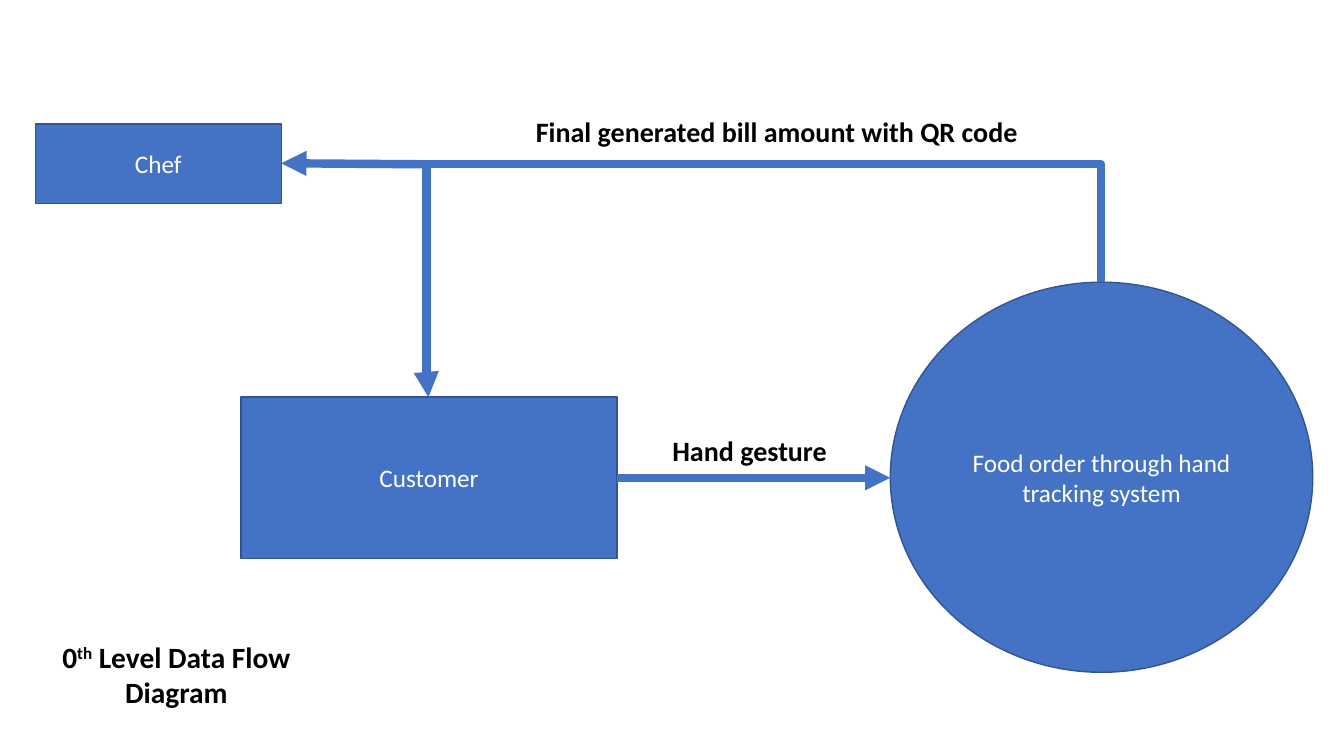
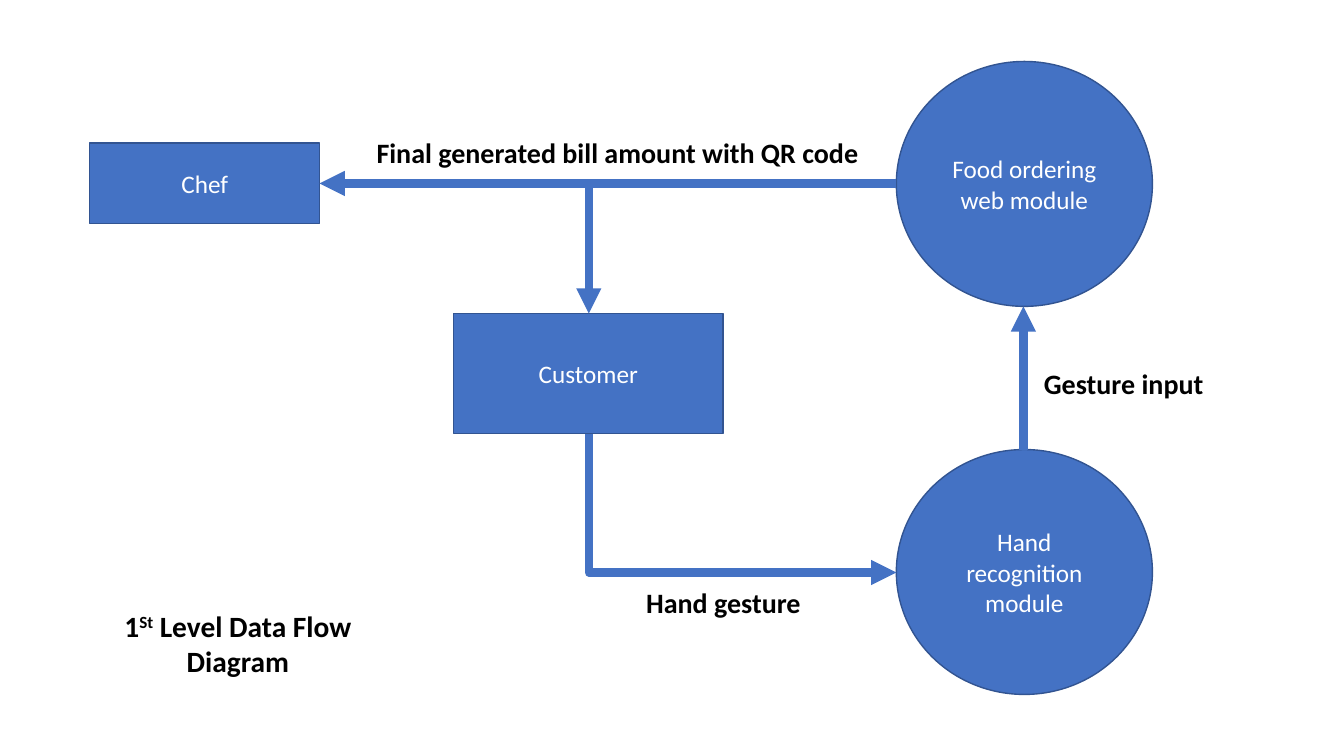
import pptx
import pptx.util
import pptx.dml.color
import pptx.enum.shapes
import pptx.enum.text
import pptx.oxml.ns
from lxml import etree

Inches = pptx.util.Inches
Pt = pptx.util.Pt
qn = pptx.oxml.ns.qn
RGBColor = pptx.dml.color.RGBColor
MSO_SHAPE = pptx.enum.shapes.MSO_SHAPE

COLOURS = {"fill": "4472C4", "outline": "325491", "light": "FFFFFF", "dark": "000000"}
BOX_FONT = {"name": "Calibri", "size": Pt(18), "bold": False}
LABEL_FONT = {"name": "Calibri", "size": Pt(20), "bold": True}
CAPTION_FONT = {"name": "Calibri", "size": Pt(21), "bold": True}


def write_text(shape, text, font_format, colour):
    frame = shape.text_frame
    frame.word_wrap = True
    for number, line in enumerate(text.split("\n")):
        paragraph = frame.add_paragraph() if number else frame.paragraphs[0]
        paragraph.alignment = pptx.enum.text.PP_ALIGN.CENTER
        for position, piece in enumerate(line.split("^")):
            run = paragraph.add_run()
            run.text = piece
            for name, value in font_format.items():
                setattr(run.font, name, value)
            run.font.color.rgb = RGBColor.from_string(COLOURS[colour])
            if position % 2:
                run._r.get_or_add_rPr().set("baseline", "30000")


def add_arrow(slide, start, end, preset="line", turn=0, flips=(), adjustments=()):
    connector = slide.shapes.add_connector(
        pptx.enum.shapes.MSO_CONNECTOR.STRAIGHT, *map(Inches, start + end))
    connector.line.width = Pt(6)
    connector.line.color.rgb = RGBColor.from_string(COLOURS["fill"])
    properties = connector._element.spPr
    line = properties.find(qn("a:ln"))
    etree.SubElement(line, qn("a:tailEnd"), type="triangle")
    etree.SubElement(properties, qn("a:effectLst"))
    if preset == "line":
        return
    geometry = properties.find(qn("a:prstGeom"))
    geometry.set("prst", preset)
    guides = geometry.find(qn("a:avLst"))
    for number, value in enumerate(adjustments, 1):
        etree.SubElement(guides, qn("a:gd"), name=f"adj{number}", fmla=f"val {value}")
    transform = properties.find(qn("a:xfrm"))
    transform.set("rot", str(turn * 60000))
    for flip in ("flipH", "flipV"):
        transform.set(flip, "1" if flip in flips else "0")
    if turn == 270:
        width, height = connector.width, connector.height
        connector.left += (width - height) // 2
        connector.top += (height - width) // 2
        connector.width, connector.height = height, width


RECTANGLE, OVAL = MSO_SHAPE.RECTANGLE, MSO_SHAPE.OVAL
BILL = "Final generated bill amount with QR code"
diagrams = [
    {
        "boxes": [
            (OVAL, "Food order through hand tracking system", 8.83, 2.8, 4.19, 3.87),
            (RECTANGLE, "Customer", 2.39, 3.94, 3.73, 1.6),
            (RECTANGLE, "Chef", 0.35, 1.23, 2.44, 0.79),
        ],
        "arrows": [
            ((6.12, 4.74), (8.83, 4.74)),
            ((10.92, 2.8), (4.25, 3.94), "bentConnector4", 270,
             ("flipH", "flipV"), (-102900, 100300)),
            ((4.24, 1.63), (2.79, 1.62)),
        ],
        "labels": [(BILL, 4.37, 1.09, 6.67), ("Hand gesture", 6.05, 4.25, 2.77)],
        "caption": ("0^th^ Level Data Flow Diagram", 0.18, 6.29),
    },
    {
        "boxes": [
            (RECTANGLE, "Chef", 0.89, 1.42, 2.28, 0.8),
            (RECTANGLE, "Customer", 4.5, 3.11, 2.67, 1.19),
            (OVAL, "Hand recognition\nmodule", 8.89, 4.46, 2.54, 2.43),
            (OVAL, "Food ordering web module", 8.89, 0.61, 2.54, 2.43),
        ],
        "arrows": [
            ((8.89, 1.82), (5.84, 3.11), "bentConnector2", 180, ("flipV",)),
            ((5.84, 4.31), (8.89, 5.68), "bentConnector2", 270, ("flipH",)),
            ((10.15, 4.46), (10.15, 3.04)),
            ((5.84, 1.82), (3.17, 1.82)),
        ],
        "labels": [
            (BILL, 2.79, 1.3, 6.67),
            ("Hand gesture", 5.79, 5.76, 2.77),
            ("Gesture input", 9.76, 3.59, 2.77),
        ],
        "caption": ("1^St^ Level Data Flow Diagram", 0.79, 5.98),
    },
]

presentation = pptx.Presentation()
presentation.slide_width = Inches(13.33)
presentation.slide_height = Inches(7.5)

for diagram in diagrams:
    slide = presentation.slides.add_slide(presentation.slide_layouts[6])
    for kind, text, *bounds in diagram["boxes"]:
        shape = slide.shapes.add_shape(kind, *map(Inches, bounds))
        shape.shadow.inherit = False
        shape.fill.solid()
        shape.fill.fore_color.rgb = RGBColor.from_string(COLOURS["fill"])
        shape.line.color.rgb = RGBColor.from_string(COLOURS["outline"])
        shape.line.width = Pt(1)
        write_text(shape, text, BOX_FONT, "light")
    for arrow in diagram["arrows"]:
        add_arrow(slide, *arrow)
    texts = [(*label, 0.44, LABEL_FONT) for label in diagram["labels"]]
    texts.append((*diagram["caption"], 3.14, 0.81, CAPTION_FONT))
    for text, left, top, width, height, font_format in texts:
        box = slide.shapes.add_textbox(*map(Inches, (left, top, width, height)))
        write_text(box, text, font_format, "dark")

presentation.save("out.pptx")
